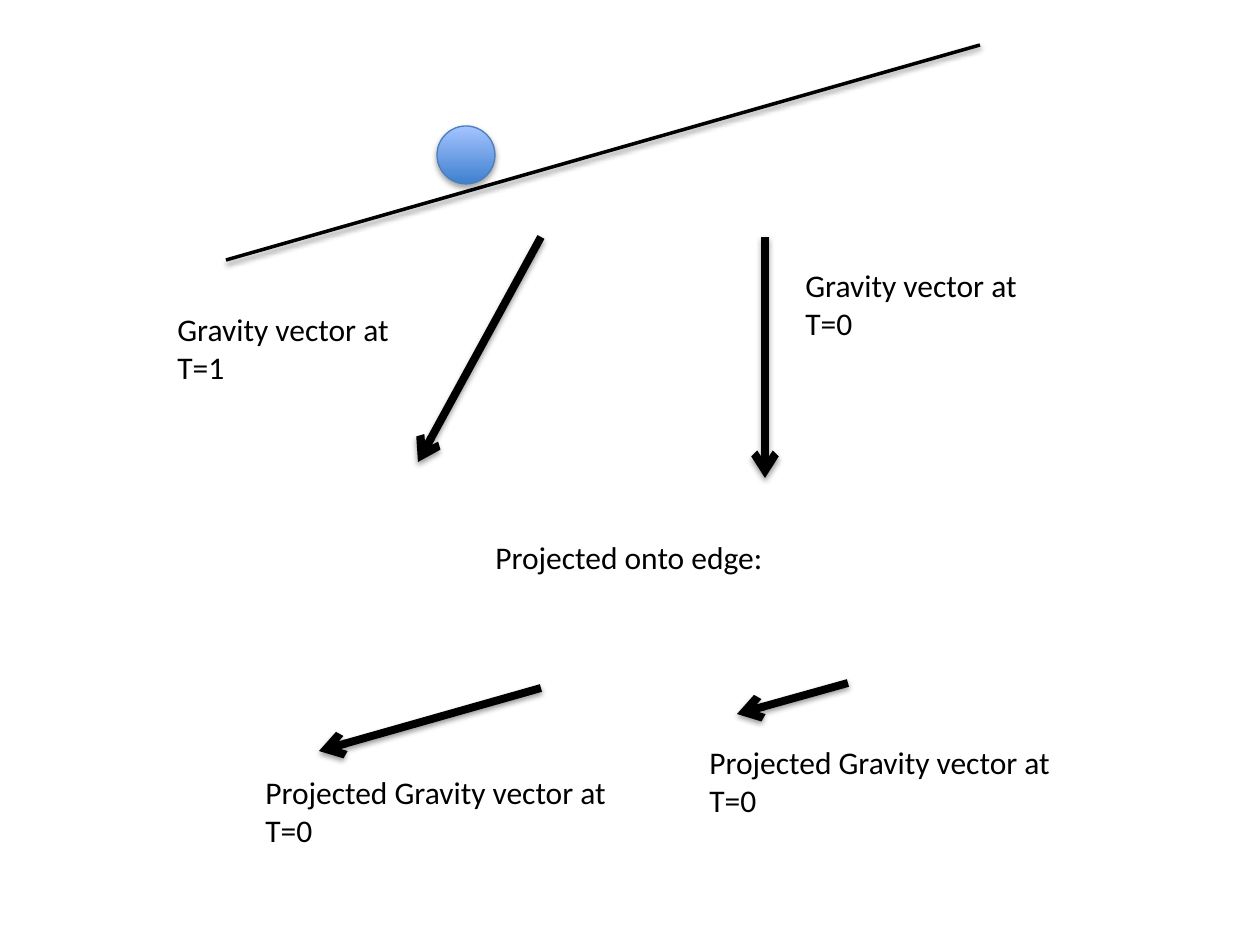
from dataclasses import dataclass

from lxml import etree
from pptx import Presentation
from pptx.dml.color import RGBColor
from pptx.enum.shapes import MSO_CONNECTOR, MSO_SHAPE
from pptx.enum.text import MSO_AUTO_SIZE
from pptx.oxml.ns import qn
from pptx.util import Emu, Inches, Pt

ELLIPSE = MSO_SHAPE.OVAL
STRAIGHT = MSO_CONNECTOR.STRAIGHT
FIT_SHAPE = MSO_AUTO_SIZE.SHAPE_TO_FIT_TEXT

PX_PER_INCH = 126
FONT = "Calibri"
COLORS = {
    "ink": "000000",
    "ball_bottom": "3F80CE",
    "ball_top": "A4C4FF",
    "ball_edge": "4B7EBC",
}


@dataclass
class Line:
    x1: int
    y1: int
    x2: int
    y2: int
    width: float = 4.5
    arrow: bool = True


@dataclass
class Label:
    x: int
    y: int
    w: int
    h: int
    lines: tuple[str, ...]


RAMP = Line(226, 260, 980, 45, width=2, arrow=False)
VECTORS = [
    Line(765, 237, 765, 478),
    Line(541, 237, 418, 462),
    Line(848, 683, 737, 714),
    Line(541, 688, 319, 751),
]
LABELS = [
    Label(793, 260, 330, 89, ("Gravity vector at", "T=0")),
    Label(165, 304, 330, 89, ("Gravity vector at", "T=1")),
    Label(483, 532, 330, 50, ("Projected onto edge:",)),
    Label(697, 737, 427, 89, ("Projected Gravity vector at", "T=0")),
    Label(253, 767, 388, 89, ("Projected Gravity vector at", "T=0")),
]


def px(n: int) -> Emu:
    return Emu(round(n * Inches(1) / PX_PER_INCH))


def rgb(name: str) -> RGBColor:
    return RGBColor.from_string(COLORS[name])


def add_shadow(shape, dist: float, opacity: int) -> None:
    """Drop a soft shadow straight down; call once fill and line are set."""
    effects = etree.SubElement(shape._element.spPr, qn("a:effectLst"))
    shadow = etree.SubElement(
        effects, qn("a:outerShdw"), blurRad=str(Pt(3.15)), dist=str(Pt(dist)),
        dir="5400000", rotWithShape="0")
    color = etree.SubElement(shadow, qn("a:srgbClr"), val=COLORS["ink"])
    etree.SubElement(color, qn("a:alpha"), val=str(opacity * 1000))


def add_line(s, line: Line) -> None:
    cx = s.shapes.add_connector(
        STRAIGHT, px(line.x1), px(line.y1), px(line.x2), px(line.y2))
    cx.line.color.rgb = rgb("ink")
    cx.line.width = Pt(line.width)
    if line.arrow:
        ln = cx.line._get_or_add_ln()
        etree.SubElement(ln, qn("a:tailEnd"), type="arrow")
    add_shadow(cx, dist=1.6, opacity=38)


def add_ball(s, x: int, y: int, size: int) -> None:
    sp = s.shapes.add_shape(ELLIPSE, px(x), px(y), px(size), px(size))
    sp.fill.gradient()
    sp.fill.gradient_angle = 90
    for stop, name in zip(sp.fill.gradient_stops, ("ball_bottom", "ball_top")):
        stop.color.rgb = rgb(name)
    sp.line.color.rgb = rgb("ball_edge")
    sp.line.width = Pt(0.75)
    add_shadow(sp, dist=1.8, opacity=35)


def add_text(s, label: Label, *, size: int = 18, color: str = "ink") -> None:
    box = s.shapes.add_textbox(
        px(label.x), px(label.y), px(label.w), px(label.h))
    tf = box.text_frame
    tf.word_wrap = True
    tf.auto_size = FIT_SHAPE
    tf.text = "\n".join(label.lines)
    for p in tf.paragraphs:
        for r in p.runs:
            r.font.name = FONT
            r.font.size = Pt(size)
            r.font.color.rgb = rgb(color)


def main() -> None:
    prs = Presentation()
    prs.slide_width, prs.slide_height = Inches(10), Inches(7.5)
    s = prs.slides.add_slide(prs.slide_layouts[6])

    # Ball on the ramp
    add_line(s, RAMP)
    add_ball(s, 437, 126, 58)

    # Gravity vectors and their projections
    for vector in VECTORS:
        add_line(s, vector)

    # Captions
    for label in LABELS:
        add_text(s, label)

    prs.save("out.pptx")


if __name__ == "__main__":
    main()
